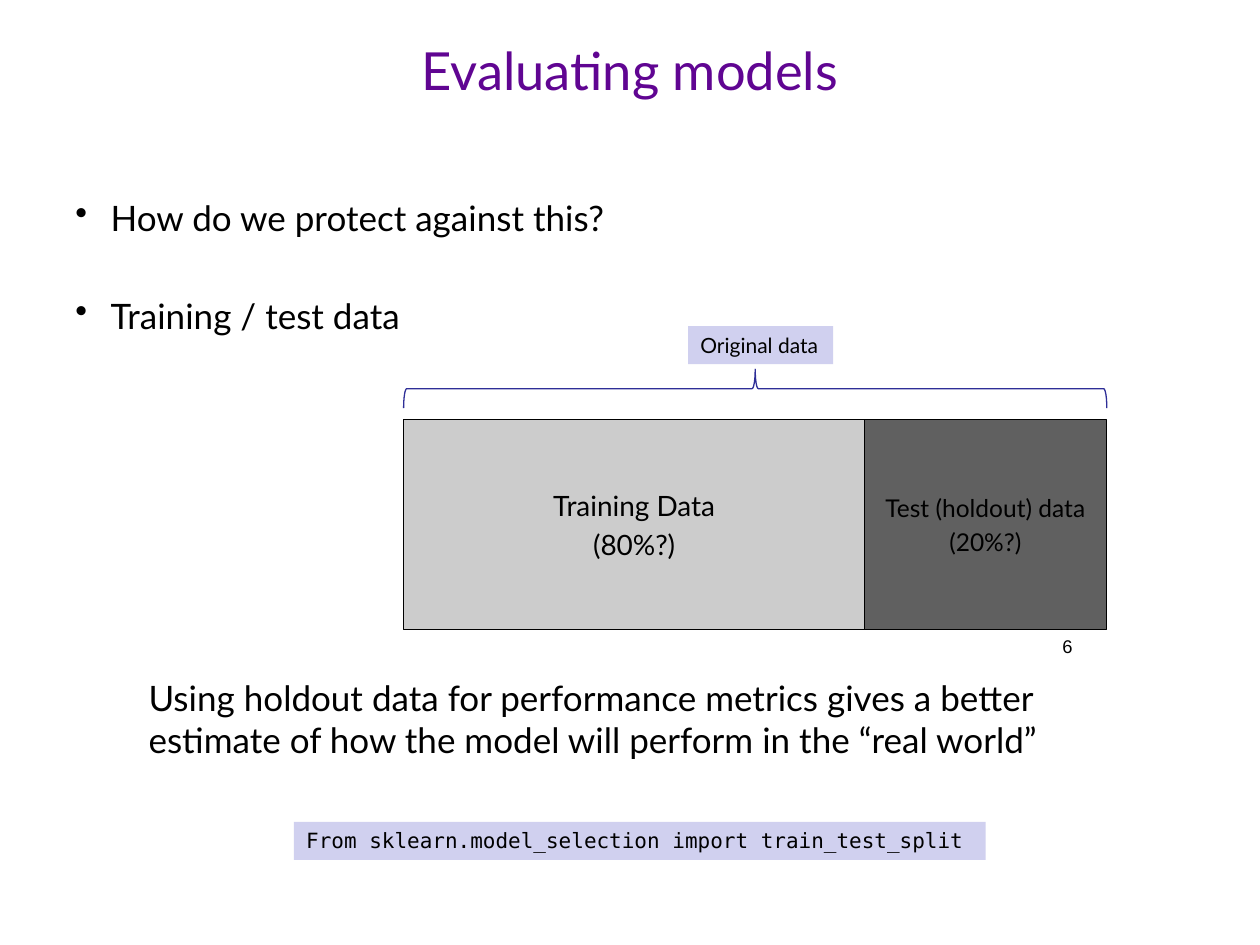
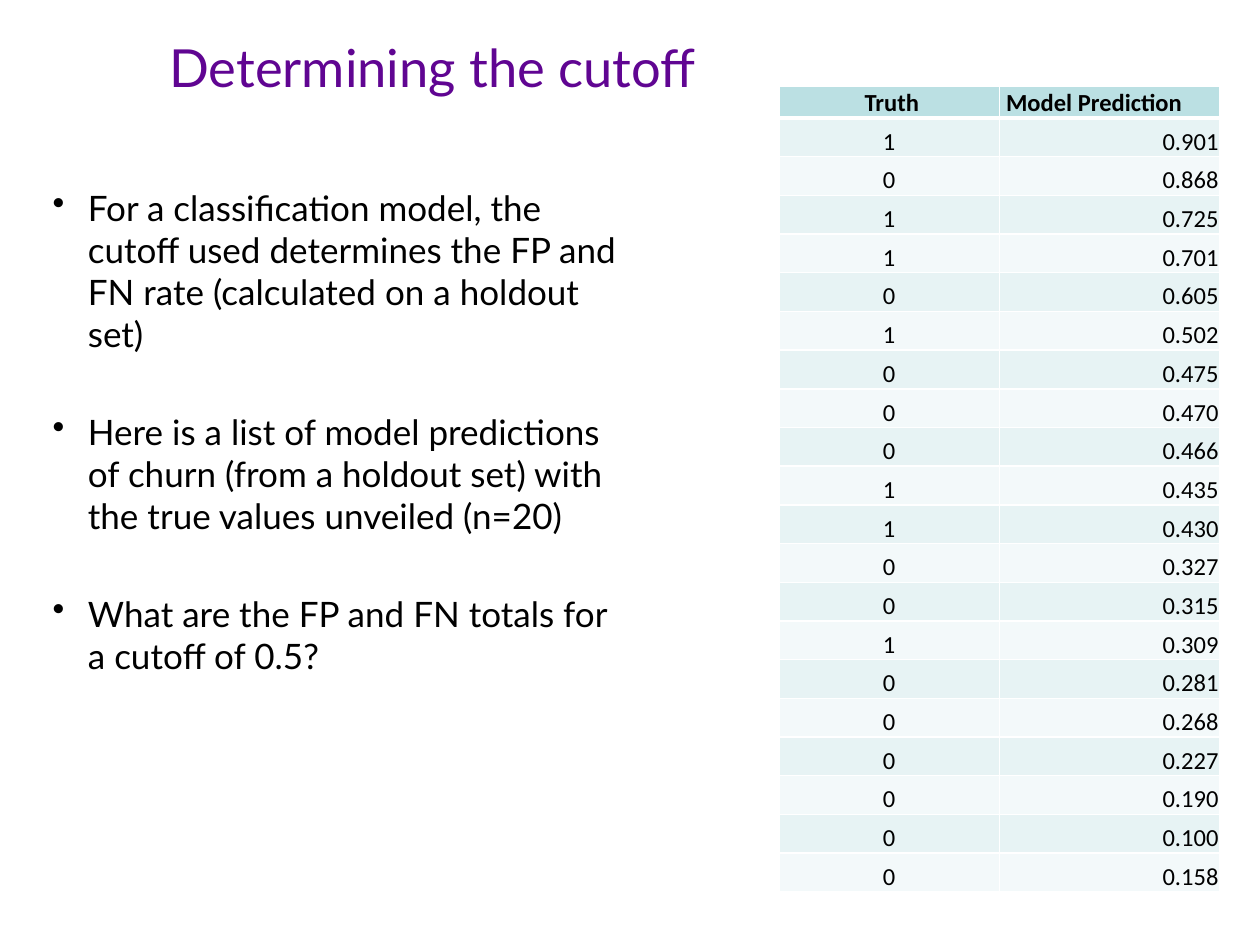
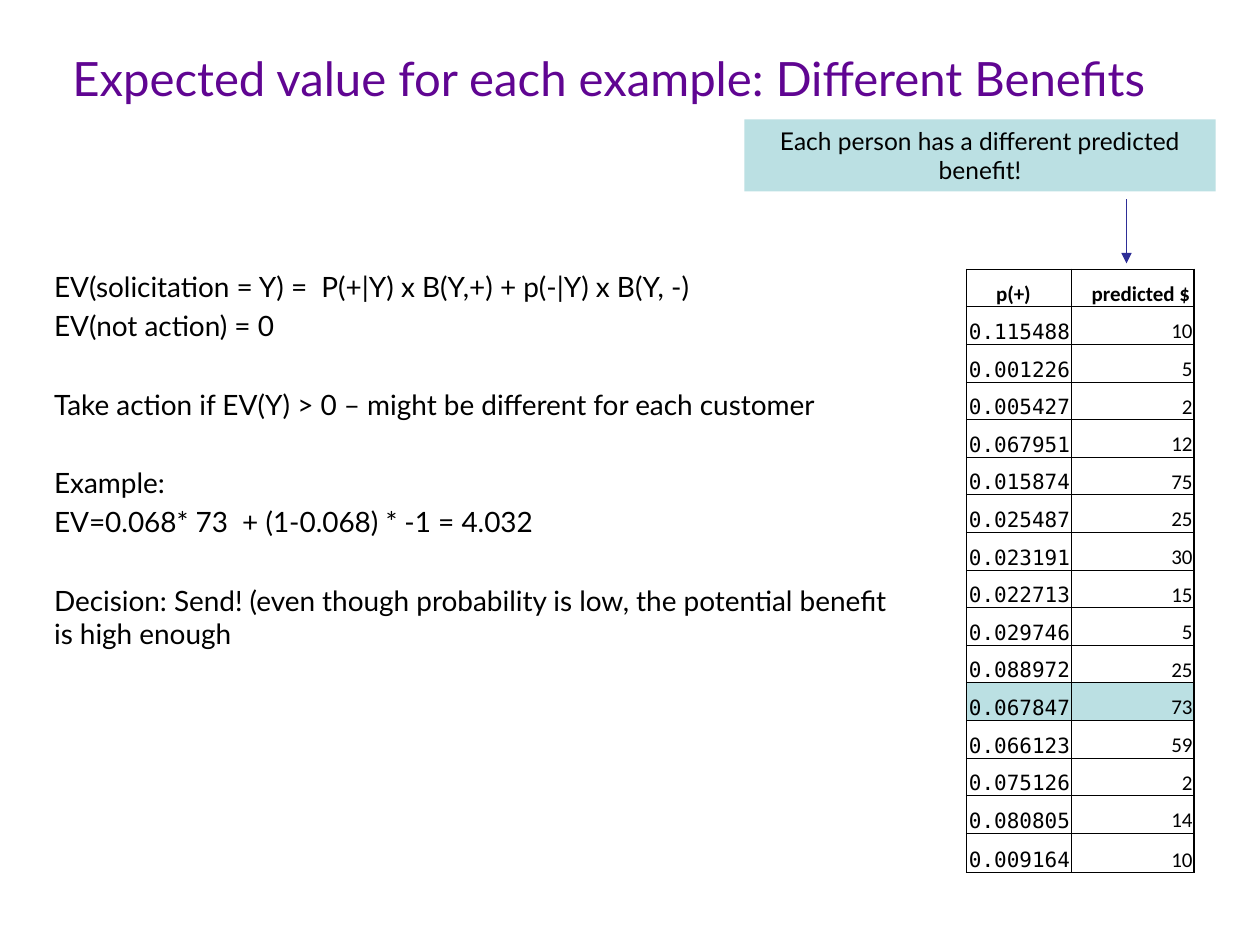
from lxml import etree
from pptx import Presentation
from pptx import util as u
from pptx.dml import color
from pptx.enum import shapes, text
from pptx.oxml import ns, xmlchemy

Pt = u.Pt
RGB = color.RGBColor.from_string
COLORS = {
    "title": "600592", "text": "000000", "line": "2E2E97", "label": "D0D0EF",
    "train": "CCCCCC", "test": "606060", "teal": "BBE0E3",
    "band_dark": "E7F3F4", "band_light": "F3F9FA", "white": "FFFFFF",
}
FONT, MONO, TABLE_FONT = "Lato", "DejaVu Sans Mono", "Calibri"
LEFT, CENTER, RIGHT = text.PP_ALIGN.LEFT, text.PP_ALIGN.CENTER, text.PP_ALIGN.RIGHT
TOP, MIDDLE, BOTTOM = text.MSO_ANCHOR.TOP, text.MSO_ANCHOR.MIDDLE, text.MSO_ANCHOR.BOTTOM


def add_text(s, box, lines, size, font=FONT, ink="text", align=LEFT, anchor=TOP,
             fill=None, outline=None, bullets=False):
    """Add a text box, or a rectangle if filled; lines are (text, space before)."""
    box = [Pt(v) for v in box]
    if fill:
        sp = s.shapes.add_shape(shapes.MSO_SHAPE.RECTANGLE, *box)
        sp.shadow.inherit = False
        sp.fill.solid()
        sp.fill.fore_color.rgb = RGB(COLORS[fill])
        if outline:
            sp.line.color.rgb = RGB(COLORS[outline])
            sp.line.width = Pt(0.75)
        else:
            sp.line.fill.background()
    else:
        sp = s.shapes.add_textbox(*box)
    tf = sp.text_frame
    tf.word_wrap = True
    tf.vertical_anchor = anchor
    for i, (line, gap) in enumerate(lines):
        p = tf.paragraphs[0] if i == 0 else tf.add_paragraph()
        p.text = line
        p.alignment = align
        if bullets:
            pPr = p._p.get_or_add_pPr()
            pPr.set("marL", str(Pt(20.16)))
            pPr.set("indent", str(-Pt(20.16)))
            clr = etree.SubElement(pPr, ns.qn("a:buClr"))
            etree.SubElement(clr, ns.qn("a:srgbClr"), val=COLORS["text"])
            etree.SubElement(pPr, ns.qn("a:buChar"), char="•")
        p.space_before = Pt(gap)
        for r in p.runs:
            r.font.size = Pt(size)
            r.font.name = font
            r.font.color.rgb = RGB(COLORS[ink])


def set_cell(cell, value, size, font, align, fill, edge, widths, bold=False, indent=0.72):
    """Fill one table cell; widths are its left, right, top and bottom borders."""
    cell.margin_left, cell.margin_right = Pt(indent), Pt(0.72)
    cell.margin_top, cell.margin_bottom = Pt(0.72), Pt(0)
    cell.vertical_anchor = BOTTOM
    cell.fill.solid()
    cell.fill.fore_color.rgb = RGB(COLORS[fill])
    p = cell.text_frame.paragraphs[0]
    p.text = value
    p.alignment = align
    r = p.runs[0]
    r.font.size, r.font.name, r.font.bold = Pt(size), font, bold
    r.font.color.rgb = RGB(COLORS["text"])
    tcPr = cell._tc.get_or_add_tcPr()
    for i, (side, width) in enumerate(zip("LRTB", widths)):
        ln = xmlchemy.OxmlElement(f"a:ln{side}")
        ln.set("w", str(Pt(width)))
        solid = etree.SubElement(ln, ns.qn("a:solidFill"))
        etree.SubElement(solid, ns.qn("a:srgbClr"), val=COLORS[edge])
        tcPr.insert(i, ln)


prs = Presentation()
prs.slide_width, prs.slide_height = Pt(720), Pt(540)

# Slides and titles
titles = [
    ("Evaluating models", (36, 10.8, 648, 57.6), 30),
    ("Determining the cutoff", (0, 9.4, 494.6, 57.6), 30),
    ("Expected value for each example: Different Benefits", (23.8, 17.3, 648, 54), 27),
]
slides = []
for title, box, size in titles:
    s = prs.slides.add_slide(prs.slide_layouts[6])
    add_text(s, box, [(title, 0)], size, ink="title", align=CENTER, anchor=MIDDLE)
    slides.append(s)
split_slide, cutoff_slide, value_slide = slides

# Slide 1: questions and page number
s = split_slide
add_text(s, (36, 108.6, 648, 350),
         [("How do we protect against this?", 0), ("Training / test data", 32)],
         20, bullets=True)
add_text(s, (452.2, 359.3, 167.8, 37.4), [("6", 0)], 10.5, font="Arial", align=RIGHT)

# Slide 1: training and test blocks under a brace
parts = [
    (230.4, 264, ("Training Data", "(80%?)"), 16, "train"),
    (494, 138.2, ("Test (holdout) data", "(20%?)"), 14, "test"),
]
for left, width, (name, share), size, fill in parts:
    add_text(s, (left, 239.8, width, 120), [(name, 0), (share, size / 5)], size,
             align=CENTER, anchor=MIDDLE, fill=fill, outline="text")
brace = s.shapes.add_shape(shapes.MSO_SHAPE.LEFT_BRACE,
                           Pt(420.4), Pt(21.2), Pt(22.3), Pt(401.8))
brace.rotation = 90
brace.adjustments[0], brace.adjustments[1] = 0.08, 0.5
brace.shadow.inherit = False
brace.fill.background()
brace.line.color.rgb = RGB(COLORS["line"])
brace.line.width = Pt(0.75)

# Slide 1: labels and conclusion
add_text(s, (393.2, 186.3, 83, 21.8), [("Original data", 0)], 12, fill="label")
add_text(s, (167.9, 469.6, 395.3, 21.8),
         [("From sklearn.model_selection import train_test_split", 0)],
         12, font=MONO, fill="label")
add_text(s, (77.8, 383, 542.2, 55.7),
         [("Using holdout data for performance metrics gives a better estimate of how "
           "the model will perform in the “real world”", 0)], 20)

# Slide 2: bullets
s = cutoff_slide
add_text(s, (23, 103, 337, 324.7), [
    ("For a classification model, the cutoff used determines the FP and FN rate "
     "(calculated on a holdout set)", 0),
    ("Here is a list of model predictions of churn (from a holdout set) with the "
     "true values unveiled (n=20)", 32),
    ("What are the FP and FN totals for a cutoff of 0.5?", 32),
], 20, bullets=True)

# Slide 2: truth and prediction table
predictions = [
    ("1", "0.901"), ("0", "0.868"), ("1", "0.725"), ("1", "0.701"), ("0", "0.605"),
    ("1", "0.502"), ("0", "0.475"), ("0", "0.470"), ("0", "0.466"), ("1", "0.435"),
    ("1", "0.430"), ("0", "0.327"), ("0", "0.315"), ("1", "0.309"), ("0", "0.281"),
    ("0", "0.268"), ("0", "0.227"), ("0", "0.190"), ("0", "0.100"), ("0", "0.158"),
]
rows = [("Truth", "Model Prediction")] + predictions
table = s.shapes.add_table(len(rows), 2, Pt(445), Pt(49.4), Pt(252), Pt(460.6)).table
table.first_row = table.horz_banding = False
for col in table.columns:
    col.width = Pt(126)
for i, row in enumerate(rows):
    head = i == 0
    table.rows[i].height = Pt(18 if head else 22.13)
    fill = "teal" if head else "band_dark" if i % 2 else "band_light"
    widths = (1, 1, 3 if i == 1 else 1, 3 if head else 1)
    for j, value in enumerate(row):
        align = CENTER if j == 0 else LEFT if head else RIGHT
        set_cell(table.cell(i, j), value, 14, TABLE_FONT, align, fill, "white", widths,
                 bold=head, indent=3.9 if head else 0.72)

# Slide 3: benefit table
s = value_slide
benefits = [
    ("0.115488", "10"), ("0.001226", "5"), ("0.005427", "2"), ("0.067951", "12"),
    ("0.015874", "75"), ("0.025487", "25"), ("0.023191", "30"), ("0.022713", "15"),
    ("0.029746", "5"), ("0.088972", "25"), ("0.067847", "73"), ("0.066123", "59"),
    ("0.075126", "2"), ("0.080805", "14"), ("0.009164", "10"),
]
rows = [("p(+)", "predicted $")] + benefits
last = len(rows) - 1
table = s.shapes.add_table(len(rows), 2, Pt(552.2), Pt(153.9), Pt(130), Pt(345)).table
table.first_row = table.horz_banding = False
table.columns[0].width, table.columns[1].width = Pt(60), Pt(70)
for i, row in enumerate(rows):
    head = i == 0
    table.rows[i].height = Pt(22.5 if i == last else 21.5)
    for j, value in enumerate(row):
        widths = (0.75, 1 if j == 1 else 0.75, 1 if head else 0.75, 1 if i == last else 0.75)
        set_cell(table.cell(i, j), value, 12,
                 TABLE_FONT if head or j == 1 else MONO, LEFT if head else RIGHT,
                 "teal" if value in ("0.067847", "73") else "white", "text", widths,
                 bold=head, indent=(17, 11.6)[j] if head else 0.72)

# Slide 3: expected value formulas
add_text(s, (23.8, 150.5, 493.2, 348.5), [
    ("EV(solicitation = Y) =  P(+|Y) x B(Y,+) + p(-|Y) x B(Y, -)", 0),
    ("EV(not action) = 0", 3.2),
    ("Take action if EV(Y) > 0 – might be different for each customer", 25.6),
    ("Example:", 25.6),
    ("EV=0.068* 73  + (1-0.068) * -1 = 4.032", 3.2),
    ("Decision: Send! (even though probability is low, the potential benefit is high "
     "enough", 25.6),
], 16)

# Slide 3: callout and arrow to the benefit column
add_text(s, (425.4, 68.2, 269.3, 41.2),
         [("Each person has a different predicted benefit!", 0)], 14,
         align=CENTER, fill="teal")
arrow = s.shapes.add_connector(shapes.MSO_CONNECTOR.STRAIGHT,
                               Pt(643.7), Pt(113.8), Pt(643.7), Pt(150.5))
arrow.line.color.rgb = RGB(COLORS["line"])
arrow.line.width = Pt(0.75)
etree.SubElement(arrow.line._get_or_add_ln(), ns.qn("a:tailEnd"), type="triangle")
etree.SubElement(arrow._element.spPr, ns.qn("a:effectLst"))

prs.save("out.pptx")
